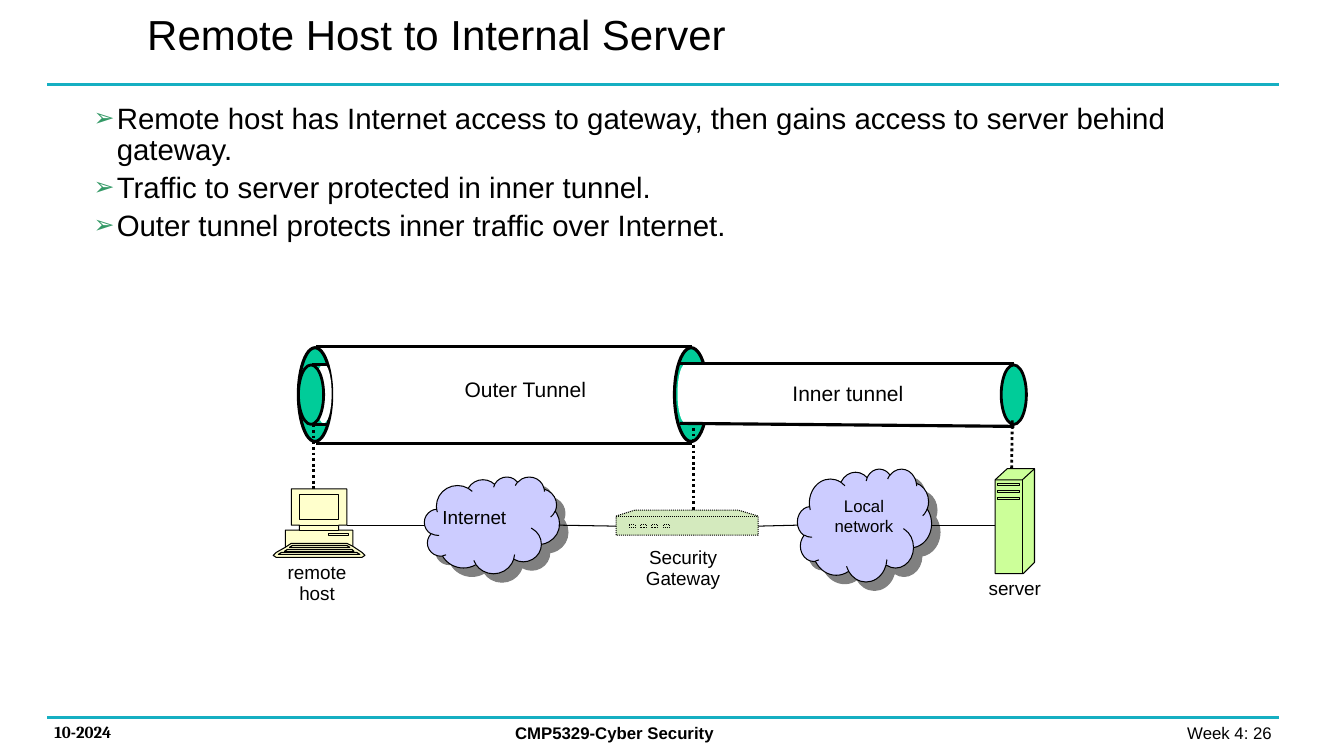
from lxml.etree import SubElement
from pptx import Presentation
from pptx.dml.color import RGBColor
from pptx.enum.dml import MSO_LINE
from pptx.enum.shapes import MSO_CONNECTOR, MSO_SHAPE
from pptx.enum.text import MSO_ANCHOR, MSO_AUTO_SIZE, PP_ALIGN
from pptx.oxml.ns import qn
from pptx.util import Inches, Pt

COLORS = {
    "ink": "000000", "paper": "FFFFFF", "rule": "16AFC2", "bullet": "339966",
    "tunnel": "00CC99", "cloud": "CCCCFF", "shadow": "808080",
    "computer": "FFFFCC", "gateway": "D4EABE", "server": "CCFF99",
}
TITLE = "Remote Host to Internal Server"
BULLETS = [
    "Remote host has Internet access to gateway, then gains access to server behind gateway.",
    "Traffic to server protected in inner tunnel.",
    "Outer tunnel protects inner traffic over Internet.",
]
LEFT, CENTER, RIGHT = PP_ALIGN.LEFT, PP_ALIGN.CENTER, PP_ALIGN.RIGHT

# Boxes are left, top, width, height in inches
FOOTERS = [
    ((9.82, 7.12, 2.94, 0.3), "Week 4: 26 ", RIGHT, "Arial", False),
    ((0.44, 7.11, 1.78, 0.3), "10-2024", LEFT, "Cambria", True),
    ((5.01, 7.12, 4.09, 0.3), "CMP5329-Cyber Security", LEFT, "Arial", True),
]
DEVICE_LABELS = [
    ((2.48, 5.61, 1.33, 0.46), ["remote", "host"]),
    ((6.11, 5.46, 1.33, 0.46), ["Security", "Gateway"]),
    ((9.4, 5.77, 1.33, 0.23), ["server"]),
]
CLOUDS = [(4.21, 4.73, 1.34, 0.96), (7.91, 4.65, 1.33, 1.12)]
OUTER_ENDS = [(2.96, 3.45, 0.33, 0.93), (6.69, 3.45, 0.33, 0.93)]
INNER_TUBE = (6.8, 3.61, 3.22, 0.58)
INNER_GAPS = [(6.72, 3.61, 0.16, 0.59), (3.13, 3.61, 0.16, 0.59)]
INNER_ENDS = [(9.93, 3.62, 0.25, 0.59), (2.96, 3.62, 0.25, 0.59)]

# Lines: start x, start y, end x, end y
TITLE_RULES = [(0.47, y, 12.69, y) for y in (0.84, 7.12)]
TUNNEL_WALLS = [(3.13, 3.44, 6.86, 3.44), (3.13, 4.4, 6.86, 4.4),
                (10.06, 3.61, 6.74, 3.61), (10.06, 4.23, 6.74, 4.2)]
INNER_STUBS = [(3.09, y, 3.26, y) for y in (3.62, 4.21)]
DROPS = [(3.11, 4.21, 3.11, 5.22), (6.88, 4.19, 6.88, 5.21), (10.04, 4.17, 10.03, 4.93)]
NETWORK = [(3.44, 5.21, 4.21, 5.21), (5.54, 5.21, 6.11, 5.22),
           (7.91, 5.21, 7.52, 5.22), (9.24, 5.21, 9.87, 5.21)]

# Device outlines
COMPUTER = [(3.59, 5.48), (3.5, 5.42), (3.5, 5.26), (3.36, 5.26), (3.36, 5.21), (3.44, 5.21),
            (3.44, 4.85), (2.89, 4.85), (2.89, 5.21), (2.97, 5.21), (2.97, 5.26), (2.83, 5.26),
            (2.83, 5.43), (2.74, 5.48), (2.71, 5.51), (2.74, 5.53), (3.59, 5.53), (3.62, 5.51)]
KEY_ROWS = [
    [(3.47, 5.43), (3.44, 5.41), (2.9, 5.41), (2.87, 5.43)],
    [(3.51, 5.47), (3.49, 5.45), (2.85, 5.45), (2.82, 5.47)],
    [(3.57, 5.5), (3.54, 5.48), (2.79, 5.48), (2.76, 5.5)],
]
KEYBOARD_EDGE = [(3.5, 5.42), (3.44, 5.39), (2.89, 5.39), (2.83, 5.43)]
COMPUTER_PANELS = [(2.97, 4.91, 0.39, 0.24), (2.97, 5.21, 0.39, 0.05), (3.26, 5.29, 0.2, 0.02)]
GATEWAY = [(6.11, 5.12), (6.3, 5.06), (7.32, 5.06), (7.52, 5.12), (7.52, 5.31), (6.11, 5.31)]
GATEWAY_LIGHTS = [(6.24 + 0.113 * i, 5.2, 0.06, 0.03) for i in range(4)]
SERVER = [(9.87, 4.76), (9.99, 4.65), (10.26, 4.65), (10.26, 5.58), (10.15, 5.69), (9.87, 5.69)]
SERVER_EDGES = [[(9.87, 4.76), (10.14, 4.76), (10.26, 4.65)], [(10.14, 4.76), (10.14, 5.69)]]
SERVER_SLOTS = [(9.89, 4.8 + 0.07 * i, 0.22, 0.02) for i in range(3)]


def color(name):
    return RGBColor.from_string(COLORS[name])


def style(shape, fill, width=0.75, dotted=False):
    shape.shadow.inherit = False
    if fill:
        shape.fill.solid()
        shape.fill.fore_color.rgb = color(fill)
    else:
        shape.fill.background()
    if width:
        shape.line.color.rgb = color("ink")
        shape.line.width = Pt(width)
        if dotted:
            shape.line.dash_style = MSO_LINE.ROUND_DOT
    else:
        shape.line.fill.background()
    return shape


def preset(page, kind, box, fill, width=0.75, dotted=False):
    shape = page.shapes.add_shape(kind, *map(Inches, box))
    return style(shape, fill, width, dotted)


def outline(page, points, fill, dotted=False, close=True):
    corners = [(Inches(x), Inches(y)) for x, y in points]
    builder = page.shapes.build_freeform(*corners[0])
    builder.add_line_segments(corners[1:], close=close)
    return style(builder.convert_to_shape(), fill, dotted=dotted)


def draw_lines(page, ends, width, shade="ink", dotted=False):
    for end in ends:
        line = page.shapes.add_connector(MSO_CONNECTOR.STRAIGHT, *map(Inches, end))
        line.line.color.rgb = color(shade)
        line.line.width = Pt(width)
        if dotted:
            line.line.dash_style = MSO_LINE.ROUND_DOT
        SubElement(line._element.spPr, qn("a:effectLst"))


def write(frame, lines, size, align=LEFT, font="Arial", bold=False, before=0, spacing=None, wrap=True):
    frame.word_wrap = wrap
    frame.auto_size = MSO_AUTO_SIZE.NONE
    for i, line in enumerate(lines):
        para = frame.add_paragraph() if i else frame.paragraphs[0]
        para.alignment = align
        para.space_before = Pt(size * before)
        para.line_spacing = spacing
        span = para.add_run()
        span.text = line
        span.font.size = Pt(size)
        span.font.name = font
        span.font.bold = bold
        span.font.color.rgb = color("ink")


def label(page, box, lines, size, **options):
    frame = page.shapes.add_textbox(*map(Inches, box)).text_frame
    write(frame, lines, size, **options)
    return frame


def add_bullet(para):
    props = para._p.get_or_add_pPr()
    props.set("marL", str(Inches(0.61)))
    props.set("indent", str(Inches(-0.23)))
    SubElement(SubElement(props, qn("a:buClr")), qn("a:srgbClr"), val=COLORS["bullet"])
    SubElement(props, qn("a:buSzPct"), val="85000")
    SubElement(props, qn("a:buFont"), typeface="Arial")
    SubElement(props, qn("a:buChar"), char="➢")


def add_cloud(page, box):
    cloud = preset(page, MSO_SHAPE.CLOUD, box, "cloud")
    effects = cloud._element.spPr.find(qn("a:effectLst"))
    shadow = SubElement(effects, qn("a:outerShdw"), dist=str(Pt(8.5)), dir="2700000",
                        algn="ctr", rotWithShape="0")
    SubElement(shadow, qn("a:srgbClr"), val=COLORS["shadow"])


def main():
    deck = Presentation()
    deck.slide_width, deck.slide_height = Inches(13.33), Inches(7.5)
    page = deck.slides.add_slide(deck.slide_layouts[5])

    # Rules, footer, title and bullets
    draw_lines(page, TITLE_RULES, 2.25, "rule")
    for box, text, align, font, bold in FOOTERS:
        label(page, box, [text], 12, align=align, font=font, bold=bold)
    title = page.shapes.title
    title.left, title.top, title.width, title.height = map(Inches, (1.36, 0.01, 8.71, 0.65))
    title.text_frame.vertical_anchor = MSO_ANCHOR.MIDDLE
    write(title.text_frame, [TITLE], 30)
    body = label(page, (0.45, 0.98, 12.21, 1.36), BULLETS, 21, before=0.2, spacing=0.9)
    for para in body.paragraphs:
        add_bullet(para)

    # Tunnels
    for box in OUTER_ENDS:
        preset(page, MSO_SHAPE.OVAL, box, "tunnel", 2.25)
    tube = preset(page, MSO_SHAPE.RECTANGLE, INNER_TUBE, "paper", 0)
    tube.text_frame.vertical_anchor = MSO_ANCHOR.MIDDLE
    write(tube.text_frame, ["Inner tunnel"], 15, CENTER, wrap=False)
    for box in INNER_GAPS:
        preset(page, MSO_SHAPE.OVAL, box, "paper", 0)
    for box in INNER_ENDS:
        preset(page, MSO_SHAPE.OVAL, box, "tunnel", 2)
    draw_lines(page, INNER_STUBS, 2)
    draw_lines(page, TUNNEL_WALLS, 2.25)
    label(page, (3.37, 3.69, 3.74, 0.35), ["Outer Tunnel "], 15, align=CENTER, before=0.5)

    # Network
    draw_lines(page, DROPS, 2, dotted=True)
    for box in CLOUDS:
        add_cloud(page, box)
    draw_lines(page, NETWORK, 0.75)
    label(page, (4.29, 4.97, 0.84, 0.33), ["Internet"], 13.5, wrap=False)
    label(page, (7.99, 4.87, 1.16, 0.5), ["Local network"], 12, align=CENTER, before=0.5)

    # Devices
    for points in [COMPUTER, *KEY_ROWS]:
        outline(page, points, "computer")
    outline(page, KEYBOARD_EDGE, None, close=False)
    outline(page, GATEWAY, "gateway", dotted=True)
    outline(page, [(6.11, 5.12), (7.52, 5.12)], None, dotted=True, close=False)
    outline(page, SERVER, "server")
    for points in SERVER_EDGES:
        outline(page, points, None, close=False)
    for boxes, fill in ((COMPUTER_PANELS, "computer"), (GATEWAY_LIGHTS, "gateway"), (SERVER_SLOTS, "server")):
        for box in boxes:
            preset(page, MSO_SHAPE.RECTANGLE, box, fill, dotted=fill == "gateway")
    for box, lines in DEVICE_LABELS:
        label(page, box, lines, 13.5, align=CENTER, before=0.5, spacing=0.5)

    deck.save("out.pptx")


if __name__ == "__main__":
    main()
